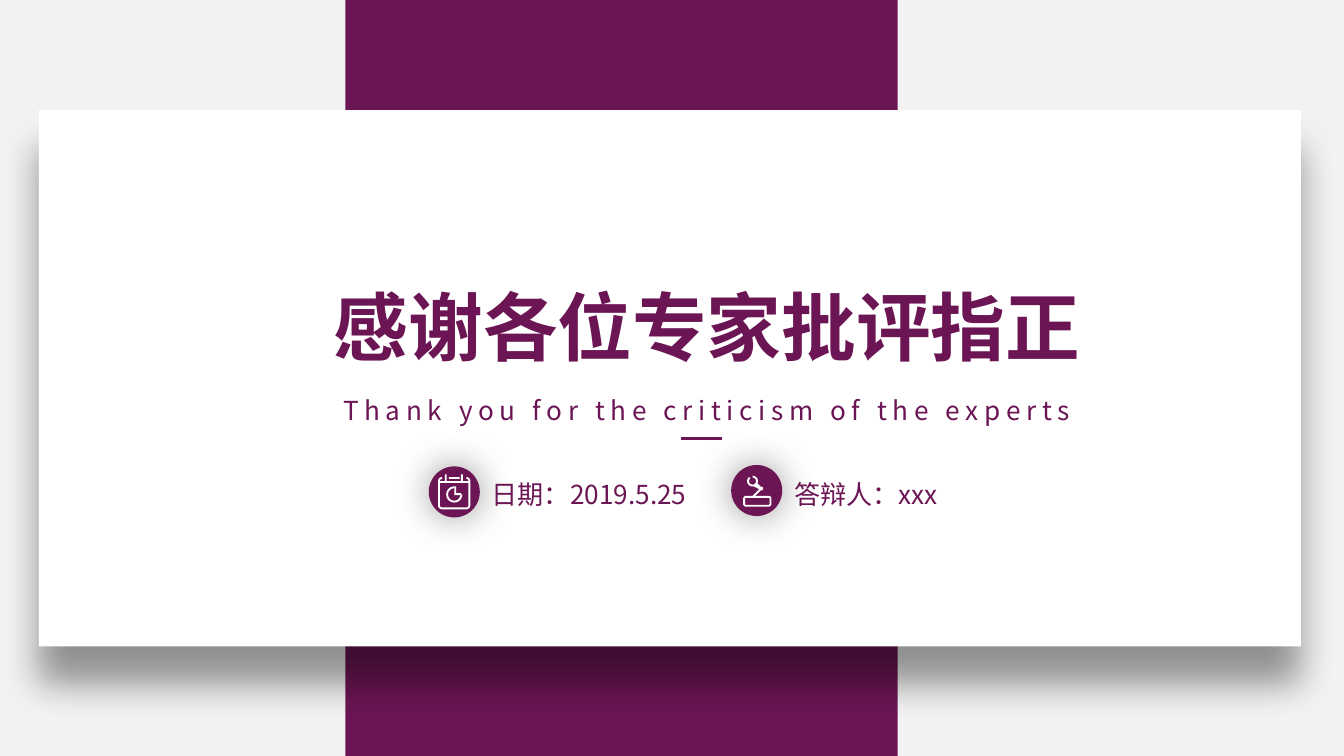
"""Build the closing thank-you slide with its date and speaker badges."""
from dataclasses import dataclass
from math import cos, radians, sin

from lxml import etree
from pptx import Presentation
from pptx import util as u
from pptx.dml.color import RGBColor
from pptx.enum import shapes, text
from pptx.oxml.ns import qn


@dataclass(frozen=True)
class Theme:
    plum: RGBColor = RGBColor.from_string("6B1554")
    white: RGBColor = RGBColor.from_string("FFFFFF")
    back: RGBColor = RGBColor.from_string("F2F2F2")
    font: str = "Noto Sans CJK SC"
    big: int = 40
    small: int = 14


def band(*stops, edge=1 / 72):
    sides = []
    for inset in (0, edge):
        sides.append([
            (x + (r - inset) * cos(radians(a)), y + (r - inset) * sin(radians(a)))
            for x, y, r, start, end in stops
            for a in range(start, end + (1 if end > start else -1),
                           10 if end > start else -10)])
    return sides[0] + sides[1][::-1]


def rim(x, y, right, low, r):
    return [(x, y, r, 270, 180), (x, low, r, 180, 90),
            (right, low, r, 90, 0), (right, y, r, 0, -90)]


look = Theme()
deck = Presentation()
deck.slide_width, deck.slide_height = u.Inches(10), u.Inches(10 * 9 / 16)
slide = deck.slides.add_slide(deck.slide_layouts[6])
slide.background.fill.solid()
slide.background.fill.fore_color.rgb = look.back
kind = shapes.MSO_SHAPE

solids = [
    (kind.RECTANGLE, (2.57, 0, 4.11, 10 * 9 / 16), look.plum, None),
    (kind.RECTANGLE, (0.29, 0.82, 9.39, 3.99), look.white, 20),
    (kind.OVAL, (3.19, 3.47, 0.38, 0.38), look.plum, 0),
    (kind.OVAL, (5.44, 3.46, 0.38, 0.38), look.plum, 0),
]
for form, area, tint, drop in solids:
    shape = slide.shapes.add_shape(form, *map(u.Inches, area))
    shape.fill.solid()
    shape.fill.fore_color.rgb = tint
    shape.line.fill.background()
    shape.shadow.inherit = False
    if drop is not None:
        glow = shape.element.spPr.find(qn("a:effectLst"))
        shade = etree.SubElement(
            glow, qn("a:outerShdw"), blurRad=str(u.Pt(20)), dist=str(u.Pt(drop)),
            dir="5400000", algn="t", rotWithShape="0")
        black = etree.SubElement(shade, qn("a:srgbClr"), val="000000")
        etree.SubElement(black, qn("a:alpha"), val="40000")

mid, left = text.PP_ALIGN.CENTER, text.PP_ALIGN.LEFT
words = [
    ("感谢各位专家批评指正", (2.31, 2.04, 5.9, 0.77), look.big, True, mid, 0),
    ("Thank you for the criticism of the experts",
     (1.98, 2.88, 6.56, 0.34), look.small, False, mid, 3),
    ("日期：2019.5.25", (3.56, 3.51, 2.27, 0.34), look.small, False, left, 0),
    ("答辩人：xxx", (5.81, 3.51, 2.27, 0.34), look.small, False, left, 0),
]
for phrase, area, size, bold, align, space in words:
    frame = slide.shapes.add_textbox(*map(u.Inches, area)).text_frame
    frame.word_wrap = True
    frame.vertical_anchor = text.MSO_ANCHOR.MIDDLE
    line = frame.paragraphs[0]
    line.alignment = align
    run = line.add_run()
    run.text = phrase
    run.font.size = u.Pt(size)
    run.font.bold = bold
    run.font.color.rgb = look.plum
    run.font.name = look.font
    props = run.font._element
    etree.SubElement(props, qn("a:ea"), typeface=look.font)
    if space:
        props.set("spc", str(space * 100))

rule = slide.shapes.add_connector(
    shapes.MSO_CONNECTOR.STRAIGHT, *map(u.Inches, (5.07, 3.26, 5.37, 3.26)))
rule.line.color.rgb = look.plum
rule.line.width = u.Pt(1.5)
etree.SubElement(rule.element.spPr, qn("a:effectLst"))

base = rim(5.55, 3.71, 5.72, 3.75, 0.02)
clock = [
    [band(*rim(3.29, 3.58, 3.47, 3.76, 0.03)),
     band((3.34, 3.55, 0, 270, 270), (3.42, 3.55, 0, 270, 270))],
    [band((x, 3.53, 0, 180, 180), (x, 3.59, 0, 180, 180)) for x in (3.31, 3.43)],
    [band((3.27, 3.58, 0, 270, 270), (3.49, 3.58, 0, 270, 270)),
     band((3.38, 3.68, 0.06, 0, 270))],
    [band((3.38, 3.62, 0, 180, 180), (3.38, 3.67, 0, 180, 180)),
     band((3.38, 3.67, 0, 270, 270), (3.43, 3.67, 0, 270, 270))],
]
gavel = [
    [[(5.61, 3.62), (5.63, 3.59), (5.68, 3.64), (5.67, 3.65)]],
    [band((5.6, 3.69, 0, 230, 230), (5.67, 3.62, 0, 230, 230)),
     band((5.6, 3.58, 0.04, -90, 230))],
    [band(*base, (5.55, 3.71, 0.02, 270, 270))],
]
for icon in (clock, gavel):
    group = slide.shapes.add_group_shape()
    for part in icon:
        loops = [[(u.Inches(x), u.Inches(y)) for x, y in loop] for loop in part]
        maker = group.shapes.build_freeform(*loops[0][0], scale=1)
        for loop in loops:
            maker.move_to(*loop[0])
            maker.add_line_segments(loop[1:], close=True)
        mark = maker.convert_to_shape()
        mark.fill.solid()
        mark.fill.fore_color.rgb = look.white
        mark.line.fill.background()
        mark.shadow.inherit = False

deck.save("out.pptx")
